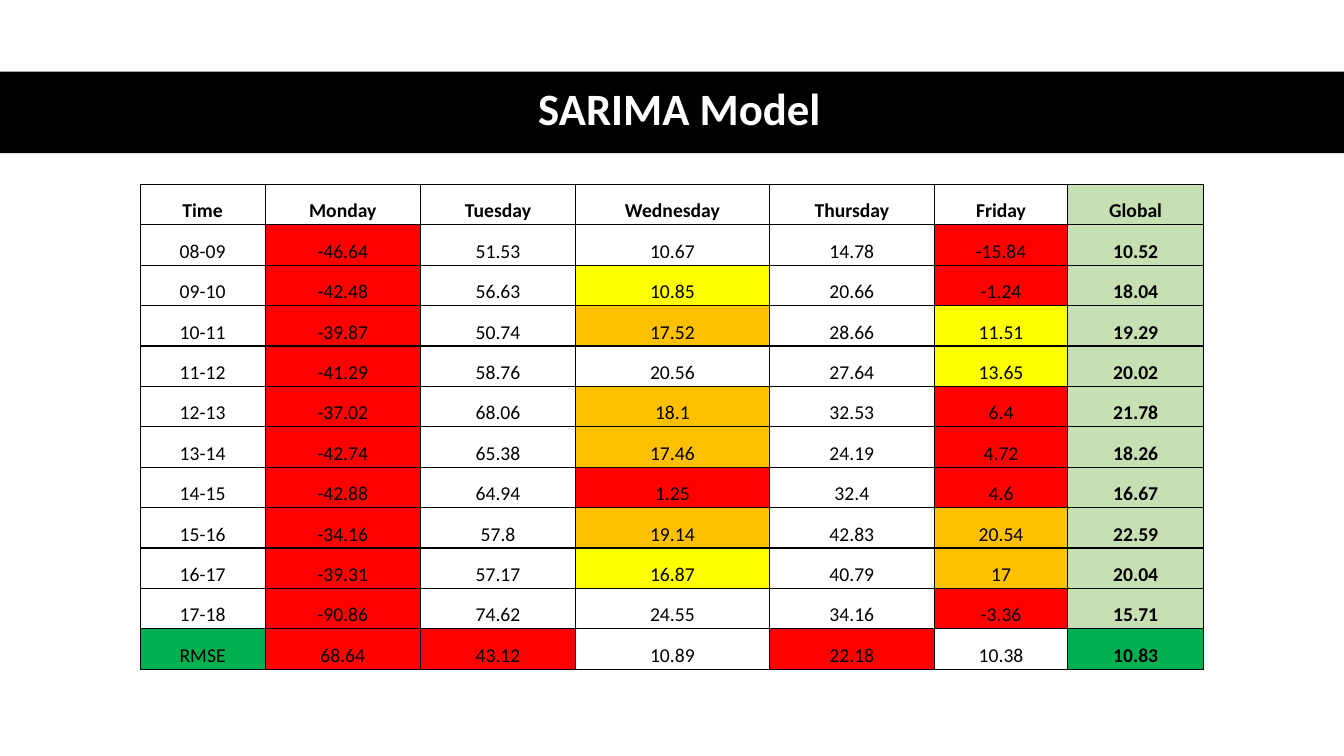
import pptx
import pptx.util
import pptx.dml.color
import pptx.enum.shapes
import pptx.enum.text
import pptx.oxml
import pptx.oxml.ns

TITLE = "SARIMA Model"
HEAD = ["Time", "Monday", "Tuesday", "Wednesday", "Thursday", "Friday", "Global"]
ROWS = [
    (HEAD, "------L"),
    (["08-09", "-46.64", "51.53", "10.67", "14.78", "-15.84", "10.52"], "-R---RL"),
    (["09-10", "-42.48", "56.63", "10.85", "20.66", "-1.24", "18.04"], "-R-Y-RL"),
    (["10-11", "-39.87", "50.74", "17.52", "28.66", "11.51", "19.29"], "-R-O-YL"),
    (["11-12", "-41.29", "58.76", "20.56", "27.64", "13.65", "20.02"], "-R---YL"),
    (["12-13", "-37.02", "68.06", "18.1", "32.53", "6.4", "21.78"], "-R-O-RL"),
    (["13-14", "-42.74", "65.38", "17.46", "24.19", "4.72", "18.26"], "-R-O-RL"),
    (["14-15", "-42.88", "64.94", "1.25", "32.4", "4.6", "16.67"], "-R-R-RL"),
    (["15-16", "-34.16", "57.8", "19.14", "42.83", "20.54", "22.59"], "-R-O-OL"),
    (["16-17", "-39.31", "57.17", "16.87", "40.79", "17", "20.04"], "-R-Y-OL"),
    (["17-18", "-90.86", "74.62", "24.55", "34.16", "-3.36", "15.71"], "-R---RL"),
    (["RMSE", "68.64", "43.12", "10.89", "22.18", "10.38", "10.83"], "GRR-R-G"),
]
WIDTHS = [1.24, 1.54, 1.54, 1.92, 1.64, 1.32, 1.35]
HIGH = 4.81
COLORS = {"black": "000000", "white": "FFFFFF", "R": "FF0000", "Y": "FFFF00",
          "O": "FFC000", "L": "C6E0B4", "G": "00B050"}

Inches = pptx.util.Inches
Pt = pptx.util.Pt
MID = pptx.enum.text.MSO_ANCHOR.MIDDLE


def color(key):
    return pptx.dml.color.RGBColor.from_string(COLORS[key])


def style(para, size, key, bold, space):
    para.alignment = pptx.enum.text.PP_ALIGN.CENTER
    para.line_spacing = space
    font = para.runs[0].font
    font.name = "Calibri"
    font.size = Pt(size)
    font.bold = bold
    font.color.rgb = color(key)


def border(cell):
    props = cell._tc.get_or_add_tcPr()
    for i, side in enumerate("LRTB"):
        props.insert(i, pptx.oxml.parse_xml(
            f'<a:ln{side} {pptx.oxml.ns.nsdecls("a")} w="{Pt(1)}"><a:solidFill>'
            f'<a:srgbClr val="{COLORS["black"]}"/></a:solidFill></a:ln{side}>'))


def add_band(slide):
    band = slide.shapes.add_shape(pptx.enum.shapes.MSO_SHAPE.RECTANGLE,
                                  0, Inches(0.71), Inches(13.33), Inches(0.81))
    band.shadow.inherit = False
    band.fill.solid()
    band.fill.fore_color.rgb = color("black")
    band.line.fill.background()
    slide.shapes._spTree.insert(2, band._element)


def add_title(slide):
    title = slide.shapes.title
    title.left, title.top = Inches(0.61), Inches(0.7)
    title.width, title.height = Inches(12.26), Inches(0.81)
    frame = title.text_frame
    frame.text = TITLE
    frame.vertical_anchor = MID
    style(frame.paragraphs[0], 32, "white", True, 0.9)


def add_grid(slide):
    grid = slide.shapes.add_table(len(ROWS), len(HEAD), Inches(1.39), Inches(1.83),
                                  Inches(sum(WIDTHS)), Inches(HIGH)).table
    grid.first_row = grid.horz_banding = False
    for col, width in zip(grid.columns, WIDTHS):
        col.width = Inches(width)
    for r, (texts, marks) in enumerate(ROWS):
        grid.rows[r].height = Inches(HIGH / len(ROWS))
        for c, (text, mark) in enumerate(zip(texts, marks)):
            cell = grid.cell(r, c)
            cell.text_frame.text = text
            cell.vertical_anchor = MID
            cell.margin_left = cell.margin_right = Inches(0.09)
            cell.margin_top, cell.margin_bottom = Inches(0.01), 0
            bold = r == 0 or c == len(HEAD) - 1
            style(cell.text_frame.paragraphs[0], 14, "black", bold, 1.5)
            if mark == "-":
                cell.fill.background()
            else:
                cell.fill.solid()
                cell.fill.fore_color.rgb = color(mark)
            border(cell)


def main():
    deck = pptx.Presentation()
    deck.slide_width, deck.slide_height = Inches(13.33), Inches(7.5)
    slide = deck.slides.add_slide(deck.slide_layouts[5])
    add_band(slide)
    add_title(slide)
    add_grid(slide)
    deck.save("out.pptx")


if __name__ == "__main__":
    main()
